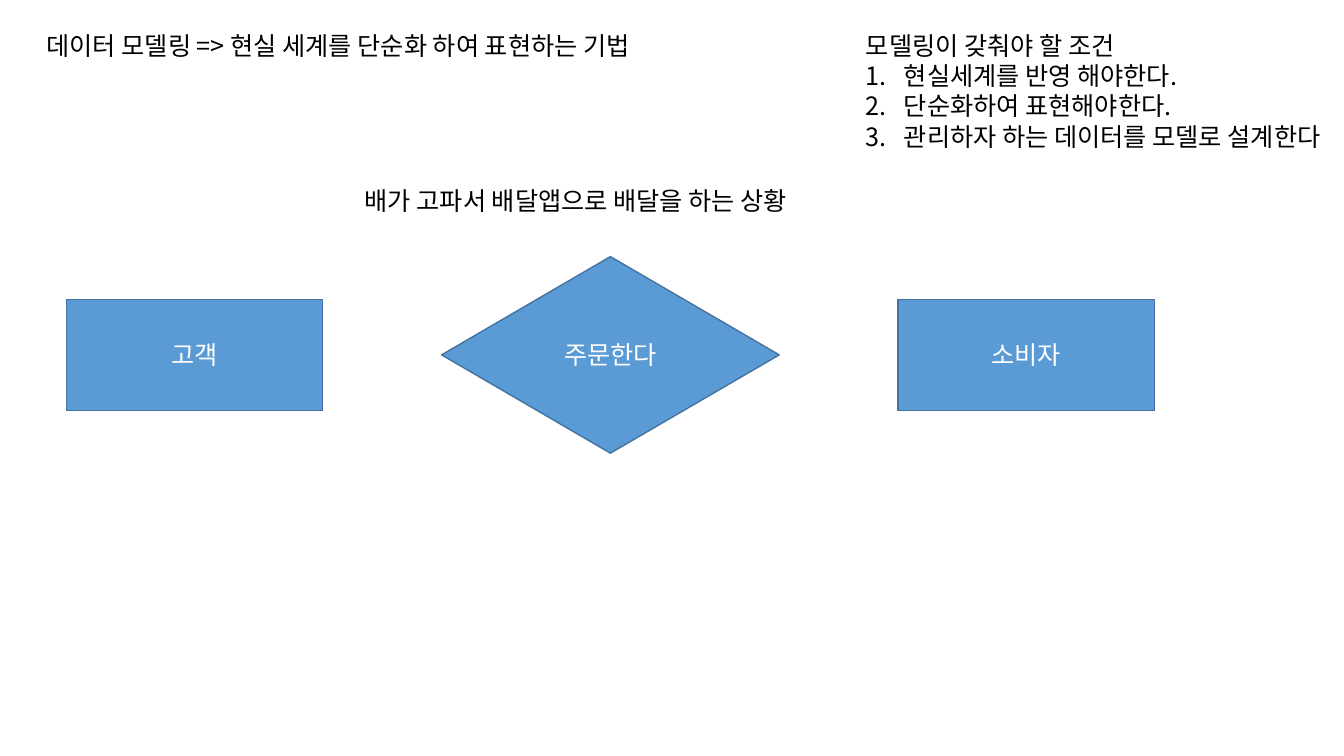
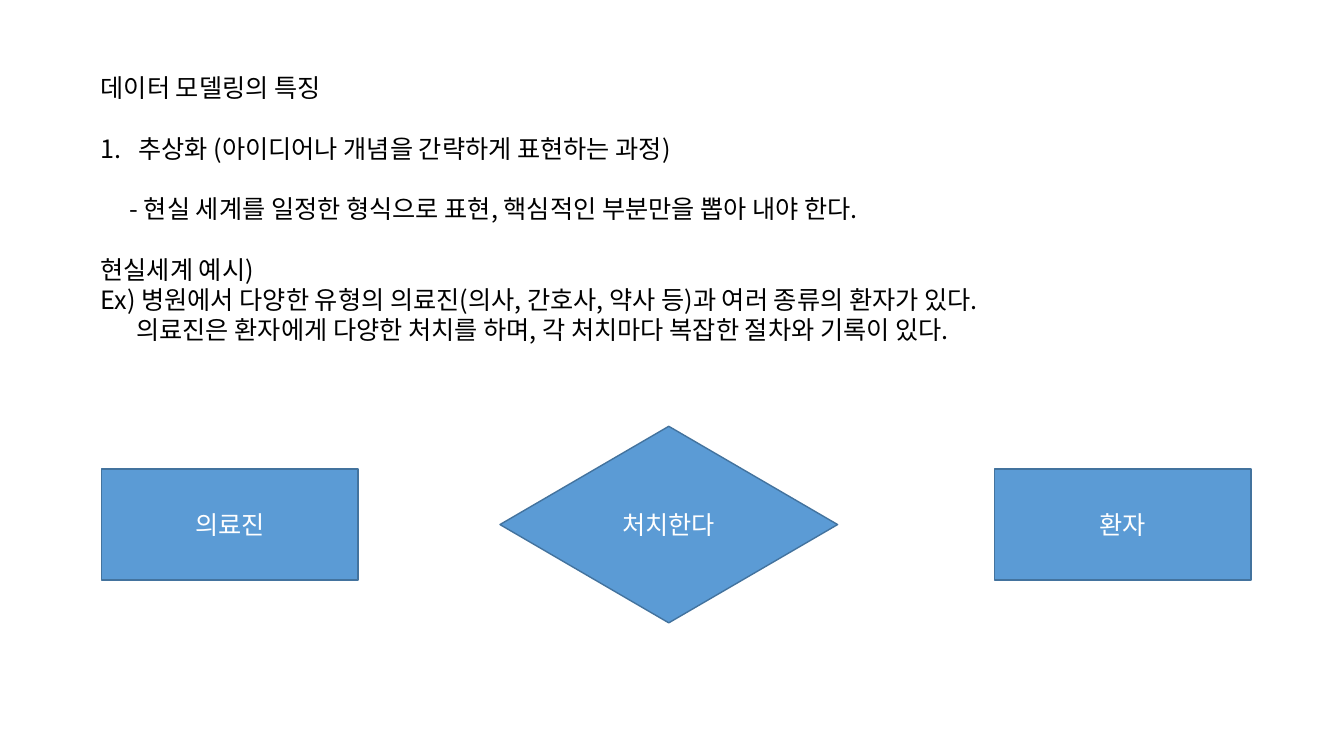
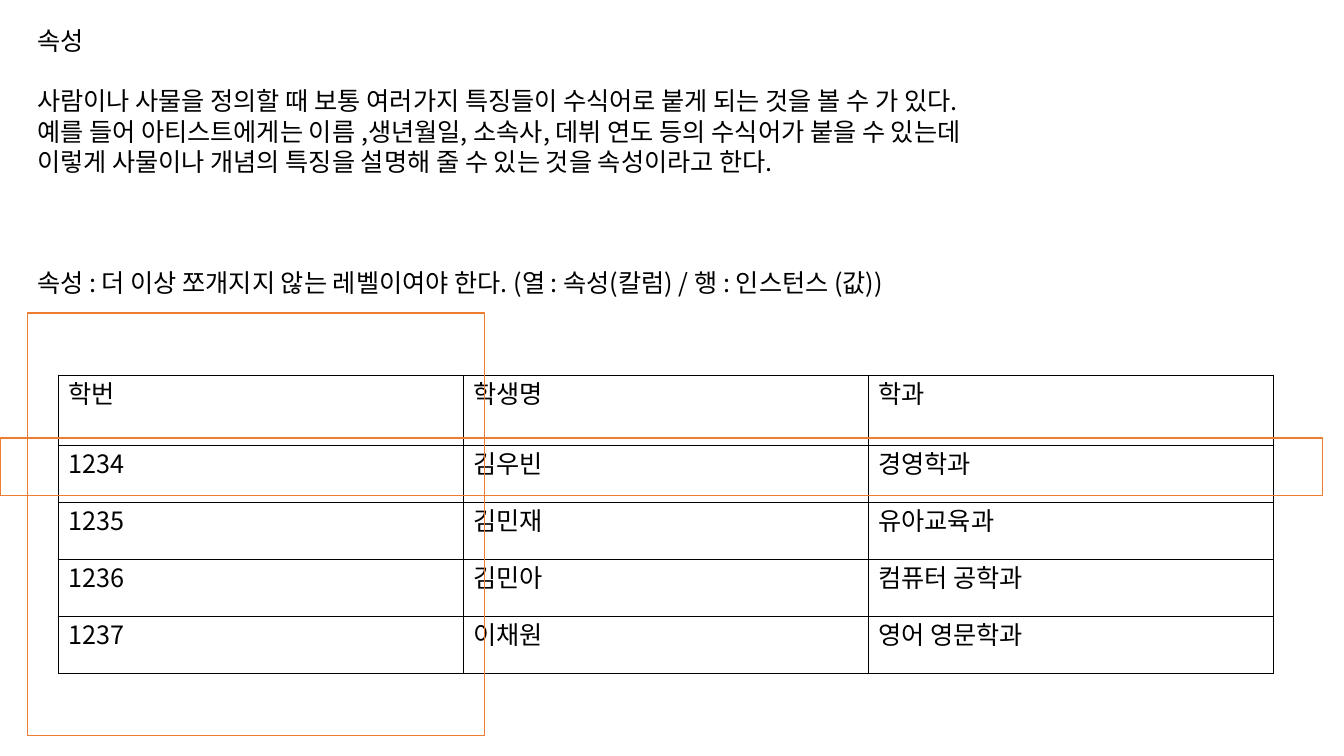
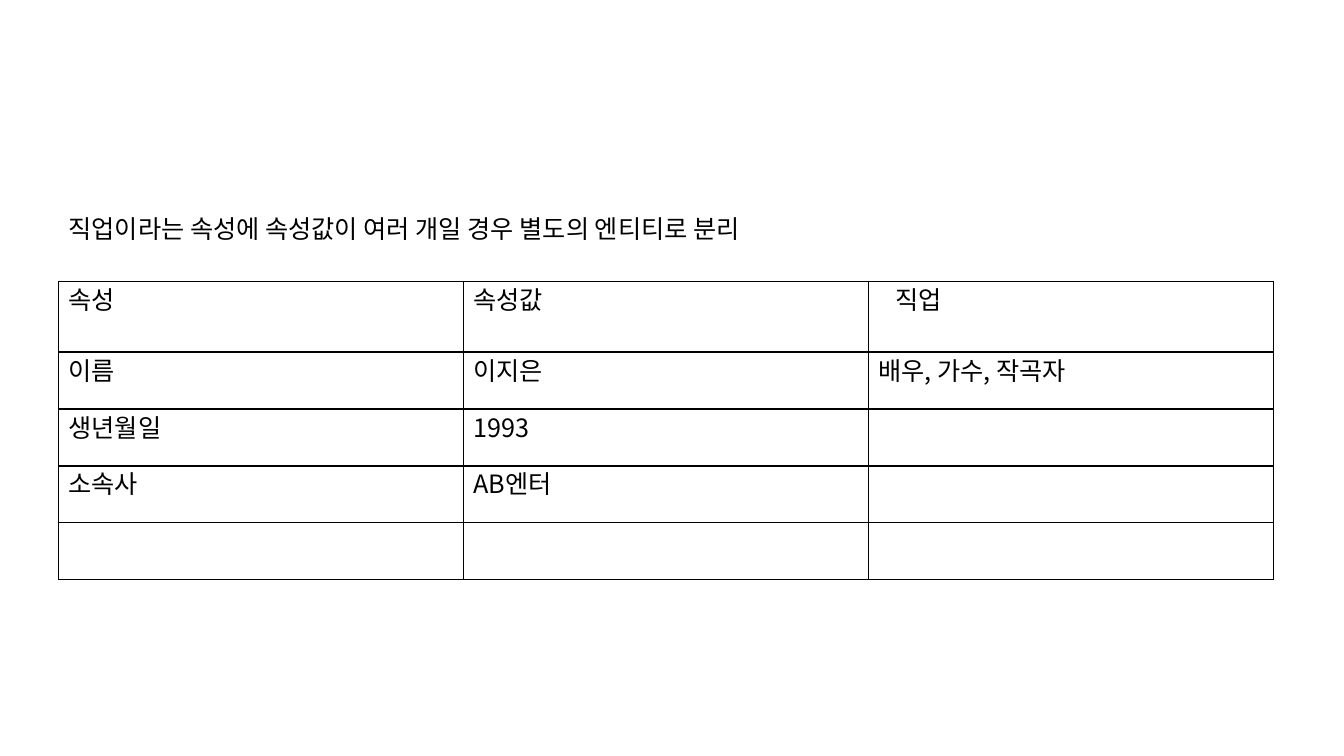
from lxml.etree import SubElement
from pptx import Presentation
from pptx.dml.color import RGBColor
from pptx.enum.shapes import MSO_SHAPE
from pptx.enum.text import MSO_ANCHOR, MSO_AUTO_SIZE, PP_ALIGN
from pptx.oxml import parse_xml
from pptx.oxml.ns import nsdecls, qn
from pptx.util import Pt

# Shared style
BLACK = RGBColor(0x00, 0x00, 0x00)
WHITE = RGBColor(0xFF, 0xFF, 0xFF)
BLUE = RGBColor(0x5B, 0x9B, 0xD5)
DARK_BLUE = RGBColor(0x43, 0x73, 0x9E)
ORANGE = RGBColor(0xED, 0x7D, 0x31)
FONT = "Noto Sans CJK KR"
LINE = 21.6
ONE_LINE = 28.8
NUMBER_INDENT = 27
FRAME_FORMAT = {
    "word_wrap": True, "auto_size": MSO_AUTO_SIZE.NONE,
    "vertical_anchor": MSO_ANCHOR.TOP,
    "margin_left": Pt(7.2), "margin_right": Pt(0),
    "margin_top": Pt(3.6), "margin_bottom": Pt(3.6),
}
ENTITY_SIZE = (183, 79.2)
RELATION_SIZE = (241.2, 140.4)
TABLE_LEFT, COLUMN_WIDTH = 41.8, 289.2
HEADER_HEIGHT, ROW_HEIGHT = 50.2, 40.7

# Content: a line is its text, or its text with paragraph options
SLIDES = [
    {
        "title": ("데이터 모델링 => 현실 세계를 단순화 하여 표현하는 기법", (26, 18, 580)),
        "texts": [
            ((253.5, 129, 374, ONE_LINE), ["배가 고파서 배달앱으로 배달을 하는 상황"]),
            ((611.5, 18, 348, 94), [
                "모델링이 갖춰야 할 조건",
                ("현실세계를 반영 해야한다.", {"numbered": True}),
                ("단순화하여 표현해야한다.", {"numbered": True}),
                ("관리하자 하는 데이터를 모델로 설계한다", {"numbered": True}),
            ]),
        ],
        "relation": (253.5, [("고객", 47.5), ("주문한다", 315.4), ("소비자", 641.5)]),
    },
    {
        "title": ("데이터 모델링의 특징", (64.8, 48.2, 880)),
        "texts": [
            ((64.8, 91.4, 880, 160), [
                ("추상화 (아이디어나 개념을 간략하게 표현하는 과정)", {"numbered": True}),
                ("- 현실 세계를 일정한 형식으로 표현, 핵심적인 부분만을 뽑아 내야 한다.",
                 {"before": LINE, "indent": 20.7}),
                ("현실세계 예시)", {"before": LINE}),
                "Ex) 병원에서 다양한 유형의 의료진(의사, 간호사, 약사 등)과 여러 종류의 환자가 있다.",
                ("의료진은 환자에게 다양한 처치를 하며, 각 처치마다 복잡한 절차와 기록이 있다.",
                 {"indent": 25.5}),
            ]),
        ],
        "relation": (374.7, [("의료진", 72.7), ("처치한다", 357.1), ("환자", 710.6)]),
    },
    {
        "title": ("속성", (19.4, 14.4, 880)),
        "texts": [
            ((19.4, 57.6, 880, 160), [
                "사람이나 사물을 정의할 때 보통 여러가지 특징들이 수식어로 붙게 되는 것을 볼 수 가 있다.",
                "예를 들어 아티스트에게는 이름 ,생년월일, 소속사, 데뷔 연도 등의 수식어가 붙을 수 있는데",
                "이렇게 사물이나 개념의 특징을 설명해 줄 수 있는 것을 속성이라고 한다.",
                ("속성 : 더 이상 쪼개지지 않는 레벨이여야 한다. (열 : 속성(칼럼) / 행 : 인스턴스 (값))",
                 {"before": 3 * LINE}),
            ]),
        ],
        "table": (268, [
            ["학번", "학생명", "학과"],
            ["1234", "김우빈", "경영학과"],
            ["1235", "김민재", "유아교육과"],
            ["1236", "김민아", "컴퓨터 공학과"],
            ["1237", "이채원", "영어 영문학과"],
        ]),
        "highlights": [(19.6, 223.7, 326.7, 301.8), (0, 313, 944.8, 41)],
    },
    {
        "title": ("직업이라는 속성에 속성값이 여러 개일 경우 별도의 엔티티로 분리", (41.8, 149, 761)),
        "table": (201.3, [
            ["속성", "속성값", ("직업", {"indent": 12})],
            ["이름", "이지은", "배우, 가수, 작곡자"],
            ["생년월일", "1993", ""],
            ["소속사", "AB엔터", ""],
            ["", "", ""],
        ]),
    },
]


def apply(target, values):
    for key, value in values.items():
        setattr(target, key, value)


def place(shape, left, top, width, height):
    apply(shape, {"left": Pt(left), "top": Pt(top),
                  "width": Pt(width), "height": Pt(height)})


def write_line(paragraph, line, color=BLACK, align=PP_ALIGN.LEFT):
    text, options = line if isinstance(line, tuple) else (line, {})
    apply(paragraph, {"alignment": align, "line_spacing": Pt(LINE),
                      "space_before": Pt(options.get("before", 0)),
                      "space_after": Pt(0)})
    properties = paragraph._p.get_or_add_pPr()
    if "indent" in options:
        properties.set("marL", str(Pt(options["indent"])))
    if options.get("numbered"):
        properties.set("marL", str(Pt(NUMBER_INDENT)))
        properties.set("indent", str(-Pt(NUMBER_INDENT)))
        SubElement(properties, qn("a:buFont"), typeface="+mj-lt")
        SubElement(properties, qn("a:buAutoNum"), type="arabicPeriod")
    if text:
        run = paragraph.add_run()
        run.text = text
        apply(run.font, {"name": FONT, "size": Pt(18), "bold": False})
        run.font.color.rgb = color
        SubElement(run.font._element, qn("a:ea"), typeface=FONT)


def write_lines(frame, lines):
    apply(frame, FRAME_FORMAT)
    for index, line in enumerate(lines):
        write_line(frame.add_paragraph() if index else frame.paragraphs[0], line)


def add_outlined(slide, kind, box, line_color, fill_color=None):
    shape = slide.shapes.add_shape(kind, *map(Pt, box))
    shape.shadow.inherit = False
    if fill_color is None:
        shape.fill.background()
    else:
        shape.fill.solid()
        shape.fill.fore_color.rgb = fill_color
    shape.line.color.rgb = line_color
    shape.line.width = Pt(1)
    return shape


def add_relation(slide, middle, parts):
    # Entity, relationship, entity, all centred on one height
    kinds = [(MSO_SHAPE.RECTANGLE, ENTITY_SIZE),
             (MSO_SHAPE.FLOWCHART_DECISION, RELATION_SIZE),
             (MSO_SHAPE.RECTANGLE, ENTITY_SIZE)]
    for (label, left), (kind, (width, height)) in zip(parts, kinds):
        box = (left, middle - height / 2, width, height)
        part = add_outlined(slide, kind, box, DARK_BLUE, BLUE)
        part.text_frame.vertical_anchor = MSO_ANCHOR.MIDDLE
        write_line(part.text_frame.paragraphs[0], label, WHITE, PP_ALIGN.CENTER)


def add_borders(cell):
    properties = cell._tc.get_or_add_tcPr()
    for index, side in enumerate("LRTB"):
        properties.insert(index, parse_xml(
            f'<a:ln{side} {nsdecls("a")} w="{Pt(1)}"><a:solidFill>'
            f'<a:srgbClr val="{BLACK}"/></a:solidFill></a:ln{side}>'))


def add_grid(slide, top, rows):
    heights = [HEADER_HEIGHT] + [ROW_HEIGHT] * (len(rows) - 1)
    columns = len(rows[0])
    table = slide.shapes.add_table(
        len(rows), columns, Pt(TABLE_LEFT), Pt(top),
        Pt(COLUMN_WIDTH * columns), Pt(sum(heights))).table
    apply(table, {"first_row": False, "horz_banding": False})
    for column in table.columns:
        column.width = Pt(COLUMN_WIDTH)
    for row, height, entries in zip(table.rows, heights, rows):
        row.height = Pt(height)
        for cell, entry in zip(row.cells, entries):
            cell.fill.background()
            add_borders(cell)
            write_line(cell.text_frame.paragraphs[0], entry)


def build_slide(deck, content):
    slide = deck.slides.add_slide(deck.slide_layouts[5])
    heading, (left, top, width) = content["title"]
    place(slide.shapes.title, left, top, width, ONE_LINE)
    write_lines(slide.shapes.title.text_frame, [heading])
    for box, lines in content.get("texts", []):
        write_lines(slide.shapes.add_textbox(*map(Pt, box)).text_frame, lines)
    if "relation" in content:
        add_relation(slide, *content["relation"])
    if "table" in content:
        add_grid(slide, *content["table"])
    for box in content.get("highlights", []):
        add_outlined(slide, MSO_SHAPE.RECTANGLE, box, ORANGE)


def main():
    deck = Presentation()
    apply(deck, {"slide_width": Pt(960), "slide_height": Pt(540)})
    for content in SLIDES:
        build_slide(deck, content)
    deck.save("out.pptx")


if __name__ == "__main__":
    main()
